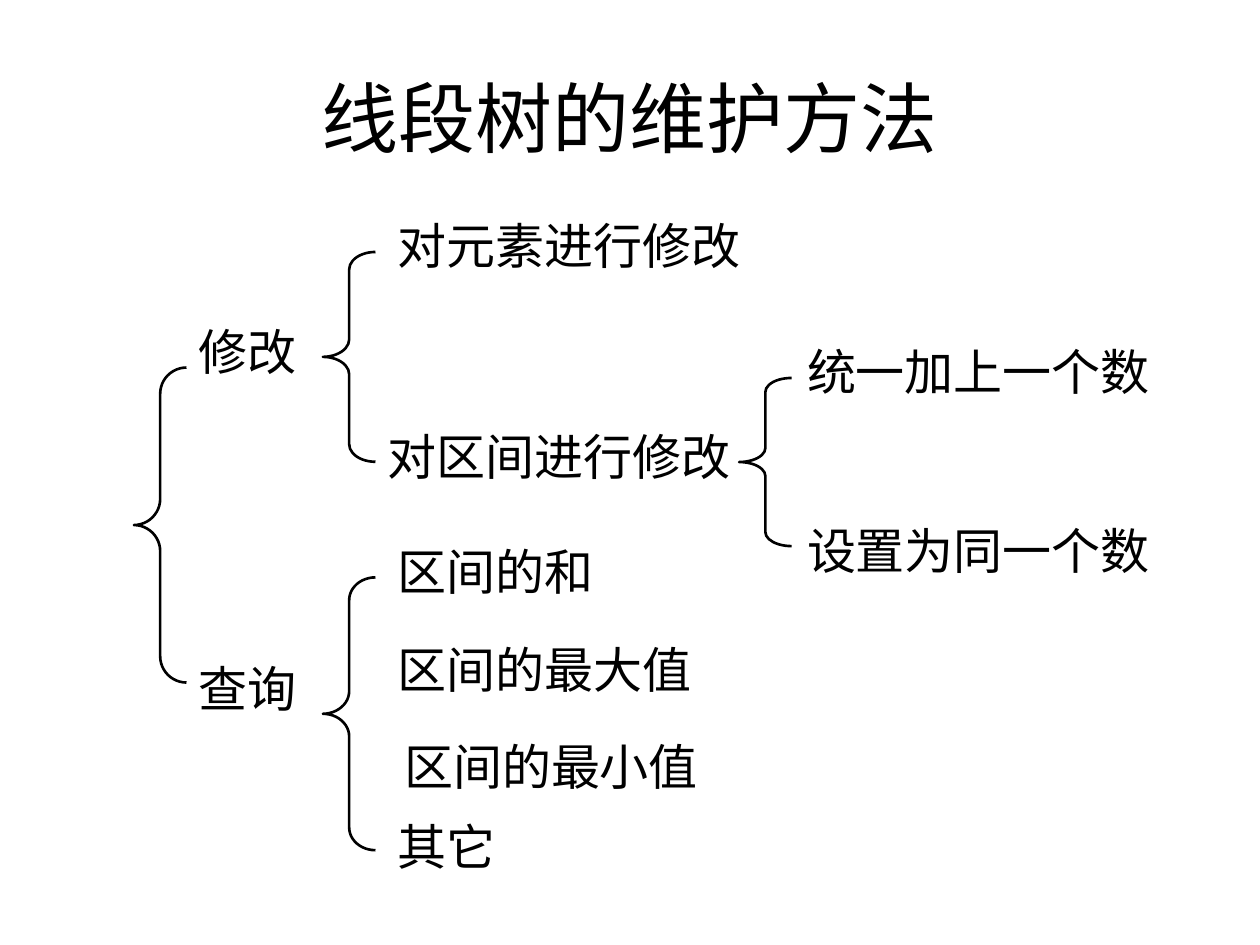
"""Build a slide that charts the ways to maintain a segment tree."""
from dataclasses import dataclass

from pptx import Presentation
from pptx.dml.color import RGBColor
from pptx.enum import shapes, text
from pptx.util import Cm, Pt


@dataclass(frozen=True)
class Theme:
    ink: RGBColor = RGBColor(0, 0, 0)
    title_font: str = "Calibri"
    label_font: str = "Arial"
    title_size: int = 44
    label_size: int = 28
    line_width: float = 1.5


THEME = Theme()
TITLE = "线段树的维护方法"
LABEL_HEIGHT = 1.45
BRACE_WIDTH = 1.06

# left, top, width, wording
LABELS = [
    (3.76, 6.35, 2.54, "修改"),
    (3.76, 13.15, 2.54, "查询"),
    (7.77, 4.23, 7.62, "对元素进行修改"),
    (7.57, 8.47, 7.62, "对区间进行修改"),
    (16.02, 6.77, 7.62, "统一加上一个数"),
    (16.02, 10.37, 8.47, "设置为同一个数"),
    (7.77, 10.79, 4.66, "区间的和"),
    (7.77, 12.76, 7.41, "区间的最大值"),
    (7.9, 14.73, 7.41, "区间的最小值"),
    (7.77, 16.33, 2.54, "其它"),
]

# left, top, height
BRACES = [
    (2.7, 7.41, 6.35),
    (6.51, 5.08, 4.23),
    (6.51, 11.64, 5.5),
    (14.9, 7.62, 3.39),
]


def add_text(page, wording, bounds, font, size, align, anchor):
    box = page.shapes.add_textbox(*map(Cm, bounds))
    frame = box.text_frame
    frame.word_wrap = True
    frame.vertical_anchor = anchor
    para = frame.paragraphs[0]
    para.alignment = align
    span = para.add_run()
    span.text = wording
    span.font.name = font
    span.font.size = Pt(size)
    span.font.color.rgb = THEME.ink


def add_brace(page, left, top, height):
    brace = page.shapes.add_shape(
        shapes.MSO_SHAPE.LEFT_BRACE, Cm(left), Cm(top), Cm(BRACE_WIDTH), Cm(height)
    )
    brace.adjustments[0] = height / 12 / BRACE_WIDTH
    brace.shadow.inherit = False
    brace.fill.background()
    brace.line.color.rgb = THEME.ink
    brace.line.width = Pt(THEME.line_width)


def main():
    deck = Presentation()
    deck.slide_width, deck.slide_height = Cm(25.4), Cm(19.05)
    page = deck.slides.add_slide(deck.slide_layouts[6])
    add_text(page, TITLE, (1.27, 0.76, 22.86, 3.18), THEME.title_font,
             THEME.title_size, text.PP_ALIGN.CENTER, text.MSO_ANCHOR.MIDDLE)
    for brace in BRACES:
        add_brace(page, *brace)
    for left, top, width, wording in LABELS:
        add_text(page, wording, (left, top, width, LABEL_HEIGHT), THEME.label_font,
                 THEME.label_size, text.PP_ALIGN.LEFT, text.MSO_ANCHOR.TOP)
    deck.save("out.pptx")


if __name__ == "__main__":
    main()
